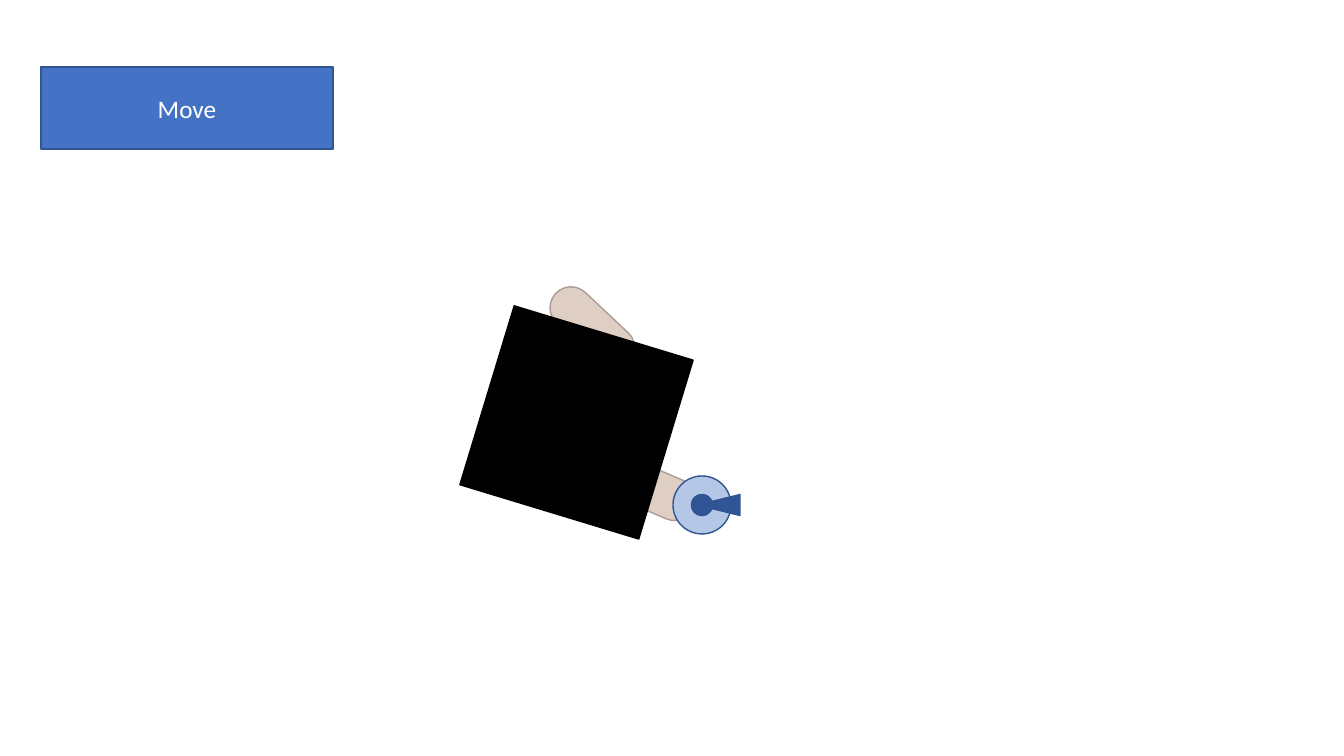
import math

from pptx import Presentation
from pptx import util as u
from pptx.dml.color import RGBColor
from pptx.enum import shapes, text

PX = 914400 / 100.8
COLORS = {
    "button": "4472C4",
    "outline": "325491",
    "label": "FFFFFF",
    "skin": "DECEC4",
    "skin_outline": "AD9B95",
    "body": "000000",
    "hat": "B4C7E7",
    "hair": "2F5597",
}


def px(length):
    return u.Emu(round(length * PX))


def color(name):
    return RGBColor.from_string(COLORS[name])


def paint(shape, fill, line):
    shape.shadow.inherit = False
    shape.fill.solid()
    shape.fill.fore_color.rgb = color(fill)
    shape.line.color.rgb = color(line)
    shape.line.width = u.Pt(1)


def add_preset(slide, kind, box, fill, line, rotation=0):
    shape = slide.shapes.add_shape(kind, *map(px, box))
    shape.rotation = rotation
    paint(shape, fill, line)
    return shape


def add_button(slide, box, label):
    button = add_preset(slide, shapes.MSO_SHAPE.RECTANGLE, box, "button", "outline")
    frame = button.text_frame
    frame.vertical_anchor = text.MSO_ANCHOR.MIDDLE
    paragraph = frame.paragraphs[0]
    paragraph.text = label
    paragraph.alignment = text.PP_ALIGN.CENTER
    paragraph.font.name = "Calibri"
    paragraph.font.size = u.Pt(18)
    paragraph.font.color.rgb = color("label")


def add_arm(slide, box, rotation):
    arm = add_preset(
        slide, shapes.MSO_SHAPE.ROUNDED_RECTANGLE, box, "skin", "skin_outline", rotation
    )
    arm.adjustments[0] = 0.5


def add_ponytail(slide, center_x, center_y):
    radius, length, half_width = 10.5, 38, 10.5
    tail = [(length, -half_width), (length, half_width)]
    knot = [
        (radius * math.cos(math.radians(angle)), radius * math.sin(math.radians(angle)))
        for angle in range(20, 341, 10)
    ]
    points = [(px(center_x + x), px(center_y + y)) for x, y in tail + knot]
    builder = slide.shapes.build_freeform(*points[0])
    builder.add_line_segments(points[1:], close=True)
    paint(builder.convert_to_shape(), "hair", "outline")


def add_person(slide, left, top):
    add_arm(slide, (left + 83, top + 20, 101, 42), 223.3)
    add_arm(slide, (left + 138, top + 180, 101, 42), 23.3)
    body_box = (left + 24, top + 42, 187, 187)
    add_preset(slide, shapes.MSO_SHAPE.RECTANGLE, body_box, "body", "body", 16.9)
    head_box = (left + 214, top + 189, 58, 58)
    add_preset(slide, shapes.MSO_SHAPE.OVAL, head_box, "hat", "outline")
    add_ponytail(slide, left + 243, top + 218)


def main():
    presentation = Presentation()
    presentation.slide_width = px(1344)
    presentation.slide_height = px(756)
    slide = presentation.slides.add_slide(presentation.slide_layouts[6])
    add_button(slide, (41, 67, 292, 82), "Move")
    add_person(slide, 459, 287)
    presentation.save("out.pptx")


if __name__ == "__main__":
    main()
